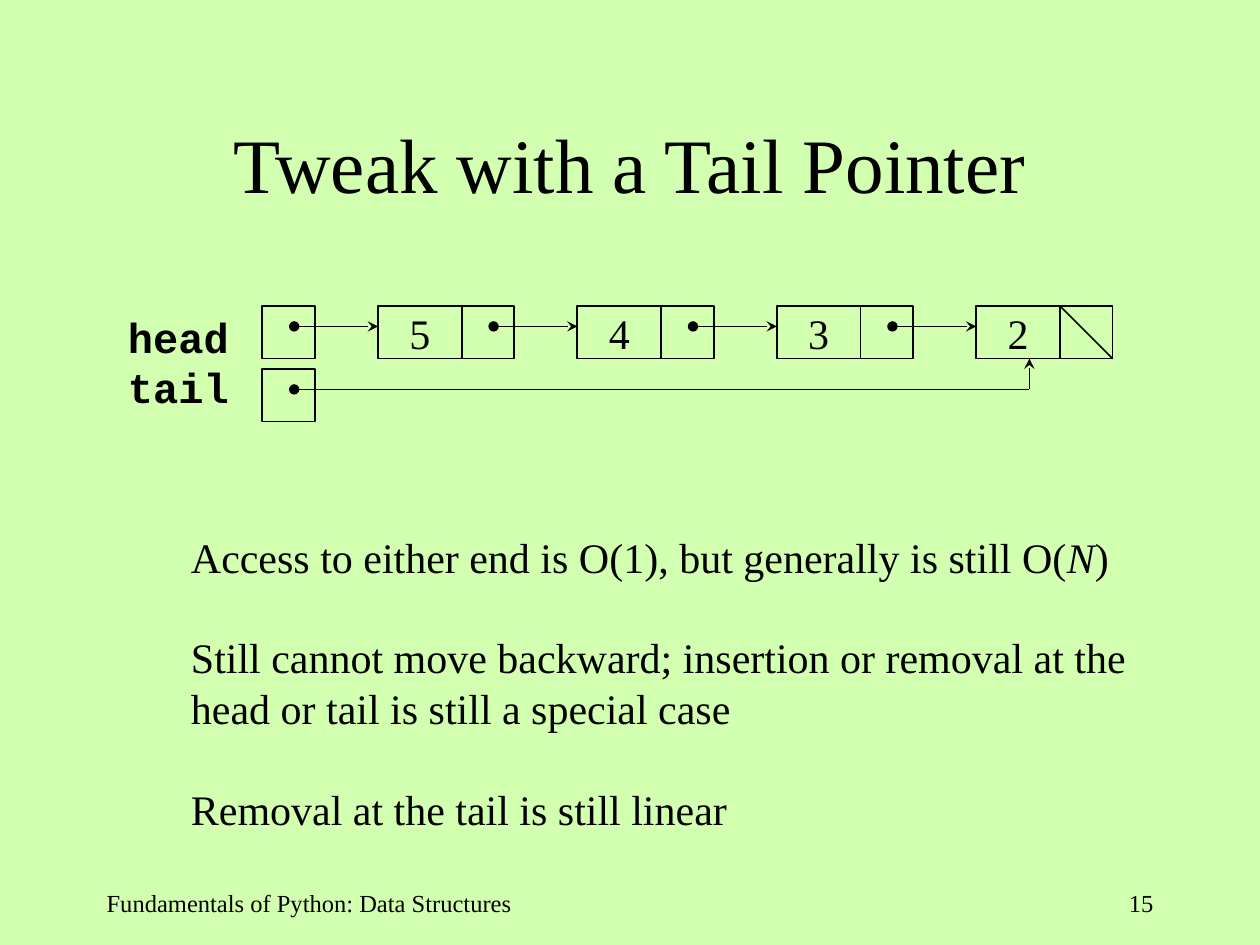
from lxml.etree import SubElement
from pptx import Presentation
from pptx.dml.color import RGBColor
from pptx.enum.shapes import MSO_CONNECTOR, MSO_SHAPE
from pptx.enum.text import MSO_ANCHOR, PP_ALIGN
from pptx.oxml.ns import qn
from pptx.util import Cm, Pt

BLACK = RGBColor.from_string("000000")


def add_text(left, top, width, height, lines, size, font="Times New Roman",
             align=PP_ALIGN.LEFT, bold=False, wrap=True, bordered=False):
    """Add a box whose lines are lists of spans; every second span is italic."""
    if bordered:
        box = page.shapes.add_shape(MSO_SHAPE.RECTANGLE, Cm(left), Cm(top), Cm(width), Cm(height))
        box.shadow.inherit = False
        box.fill.background()
        box.line.color.rgb = BLACK
        box.line.width = Pt(1)
    else:
        box = page.shapes.add_textbox(Cm(left), Cm(top), Cm(width), Cm(height))
    frame = box.text_frame
    frame.word_wrap = wrap
    for number, spans in enumerate(lines):
        paragraph = frame.add_paragraph() if number else frame.paragraphs[0]
        paragraph.alignment = align
        for position, words in enumerate(spans):
            span = paragraph.add_run()
            span.text = words
            span.font.name = font
            span.font.size = Pt(size)
            span.font.bold = bold
            span.font.italic = position % 2 == 1
            span.font.color.rgb = BLACK
    return box


def add_line(start_x, start_y, end_x, end_y, dot=False, arrow=False, width=1):
    line = page.shapes.add_connector(
        MSO_CONNECTOR.STRAIGHT, Cm(start_x), Cm(start_y), Cm(end_x), Cm(end_y))
    line.line.color.rgb = BLACK
    line.line.width = Pt(width)
    outline = line.line._get_or_add_ln()
    if dot:
        SubElement(outline, qn("a:headEnd"), type="oval")
    if arrow:
        SubElement(outline, qn("a:tailEnd"), type="stealth")
    SubElement(line._element.spPr, qn("a:effectLst"))


deck = Presentation()
deck.slide_width = Cm(25.4)
deck.slide_height = Cm(19.05)
page = deck.slides.add_slide(deck.slide_layouts[6])
page.background.fill.solid()
page.background.fill.fore_color.rgb = RGBColor.from_string("D2FFB0")

title = add_text(1.9, 1.7, 21.6, 3.17, [["Tweak with a Tail Pointer"]], 44, align=PP_ALIGN.CENTER)
title.text_frame.vertical_anchor = MSO_ANCHOR.MIDDLE

# Linked list: each node is a value cell followed by a square pointer cell
cell = 1.06
value_width = 1.69
node_step = 4.02
first_node = 7.62
pointer_left = 5.29
head_top = 6.17
tail_top = 7.44
dot_x = 0.64
dot_y = 0.41
values = ["5", "4", "3", "2"]

labels = add_text(2.33, 6.15, 2.54, 2.29, [["head"], ["tail"]], 24,
                  font="Courier New", bold=True, wrap=False)

for top in (head_top, tail_top):
    add_text(pointer_left, top, cell, cell, [], 24, bordered=True)

link_left = pointer_left
for index, value in enumerate(values):
    node_left = first_node + index * node_step
    add_line(link_left + dot_x, head_top + dot_y, node_left, head_top + dot_y, dot=True, arrow=True)
    link_left = node_left + value_width
    add_text(link_left, head_top, cell, cell, [], 24, bordered=True)
    add_text(node_left, head_top, value_width, cell, [[value]], 24,
             align=PP_ALIGN.CENTER, wrap=False, bordered=True)

# Null link in the last node, and the tail pointer that reaches it
add_line(link_left, head_top, link_left + cell, head_top + cell)
tail_x = 20.75
tail_y = tail_top + dot_y
add_line(pointer_left + dot_x, tail_y, tail_x, tail_y, dot=True)
add_line(tail_x, tail_y, tail_x, head_top + cell, arrow=True, width=0.75)

remarks = add_text(3.6, 10.58, 19.9, 6.35, [
    ["Access to either end is O(1), but generally is still O(", "N", ")"],
    ["Still cannot move backward; insertion or removal at the head or tail is still a special case"],
    ["Removal at the tail is still linear"],
], 24)
for paragraph in remarks.text_frame.paragraphs:
    paragraph.space_after = Pt(28.8)
for box in (labels, remarks):
    for paragraph in box.text_frame.paragraphs:
        paragraph.line_spacing = Pt(28.8)

add_text(1.9, 17.78, 10.37, 1.27, [["Fundamentals of Python: Data Structures"]], 14)
add_text(18.21, 17.78, 5.29, 1.27, [["15"]], 14, align=PP_ALIGN.RIGHT)

deck.save("out.pptx")
